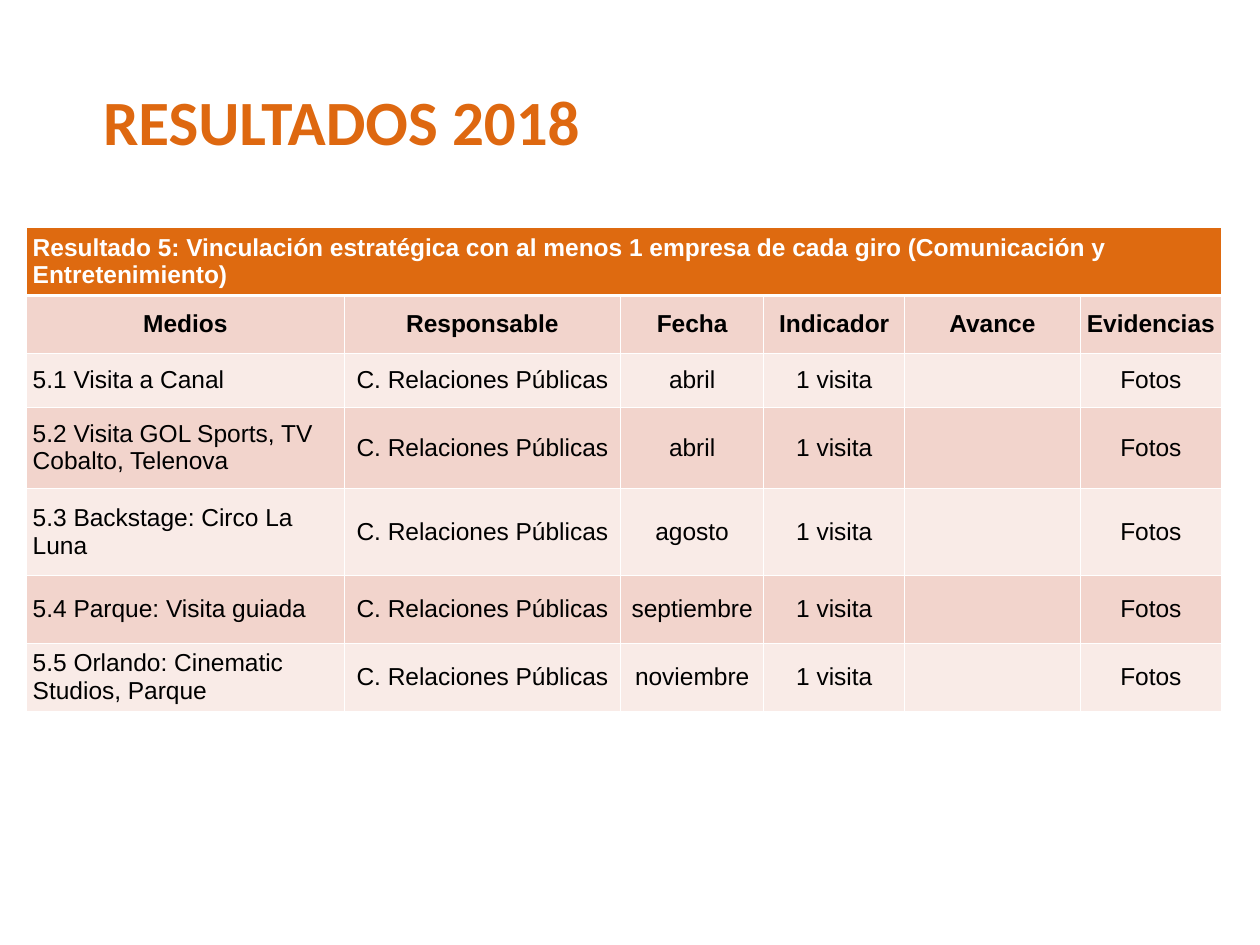
from pptx import Presentation
from pptx.dml.color import RGBColor
from pptx.enum.text import MSO_ANCHOR, PP_ALIGN
from pptx.oxml import parse_xml
from pptx.oxml.ns import nsdecls
from pptx.util import Cm, Pt

TITLE = "RESULTADOS 2018"
BANNER = (
    "Resultado 5: Vinculación estratégica con al menos 1 empresa de cada giro "
    "(Comunicación y Entretenimiento)"
)
HEADINGS = ["Medios", "Responsable", "Fecha", "Indicador", "Avance", "Evidencias"]
VISITS = [
    ("5.1 Visita a Canal", "abril"),
    ("5.2 Visita GOL Sports, TV Cobalto, Telenova", "abril"),
    ("5.3 Backstage: Circo La Luna", "agosto"),
    ("5.4 Parque: Visita guiada", "septiembre"),
    ("5.5 Orlando: Cinematic Studios, Parque", "noviembre"),
]
RESPONSIBLE, INDICATOR, EVIDENCE = "C. Relaciones Públicas", "1 visita", "Fotos"

COLUMN_WIDTHS = [12.8, 11.15, 5.77, 5.69, 7.06, 5.72]
ROW_HEIGHTS = [2.74, 2.34, 2.18, 3.25, 3.53, 2.72, 2.74]
LEFT, TITLE_TOP, TABLE_TOP = 1.07, 3.53, 9.17

THEME = {
    "title": RGBColor.from_string("DE6810"),
    "banner": RGBColor.from_string("DE6A10"),
    "bands": [RGBColor.from_string("F9EBE7"), RGBColor.from_string("F2D4CC")],
    "light": RGBColor.from_string("FFFFFF"),
    "dark": RGBColor.from_string("000000"),
    "title_font": "Calibri",
    "table_font": "Arial",
    "title_size": 72,
    "table_size": 28,
    "border": 1,
    "banner_border": 3,
}


def style_font(font, name, size, color, bold):
    font.name = name
    font.size = Pt(size)
    font.color.rgb = color
    font.bold = bold


def add_border(cell, side, width):
    cell._tc.get_or_add_tcPr().append(parse_xml(
        f'<a:ln{side} {nsdecls("a")} w="{Pt(width)}"><a:solidFill>'
        f'<a:srgbClr val="{THEME["light"]}"/></a:solidFill></a:ln{side}>'
    ))


def add_title(slide):
    box = slide.shapes.add_textbox(Cm(LEFT), Cm(TITLE_TOP), Cm(25.4), Cm(3.81))
    text_frame = box.text_frame
    text_frame.word_wrap = True
    text_frame.text = TITLE
    paragraph = text_frame.paragraphs[0]
    paragraph.alignment = PP_ALIGN.CENTER
    paragraph.line_spacing = 0.9
    style_font(paragraph.runs[0].font, THEME["title_font"], THEME["title_size"],
               THEME["title"], True)


def fill_cell(cell, text, row, column):
    thick_side = {0: "B", 1: "T"}.get(row)
    for side in "LRTB":
        add_border(cell, side, THEME["banner_border" if side == thick_side else "border"])
    cell.fill.solid()
    cell.fill.fore_color.rgb = THEME["banner"] if row == 0 else THEME["bands"][row % 2]
    cell.vertical_anchor = MSO_ANCHOR.MIDDLE
    cell.margin_left = cell.margin_right = Cm(0.25)
    cell.margin_top = cell.margin_bottom = Cm(0.13)
    cell.text_frame.text = text
    paragraph = cell.text_frame.paragraphs[0]
    left_aligned = row == 0 or (row > 1 and column == 0)
    paragraph.alignment = PP_ALIGN.LEFT if left_aligned else PP_ALIGN.CENTER
    for run in paragraph.runs:
        style_font(run.font, THEME["table_font"], THEME["table_size"],
                   THEME["light"] if row == 0 else THEME["dark"], row < 2)


def add_results_table(slide):
    rows = [[BANNER] + [""] * (len(HEADINGS) - 1), HEADINGS]
    rows += [[visit, RESPONSIBLE, month, INDICATOR, "", EVIDENCE] for visit, month in VISITS]
    table = slide.shapes.add_table(
        len(rows), len(HEADINGS), Cm(LEFT), Cm(TABLE_TOP),
        Cm(sum(COLUMN_WIDTHS)), Cm(sum(ROW_HEIGHTS)),
    ).table
    for column, width in zip(table.columns, COLUMN_WIDTHS):
        column.width = Cm(width)
    for row, height in zip(table.rows, ROW_HEIGHTS):
        row.height = Cm(height)
    for row, texts in enumerate(rows):
        for column, text in enumerate(texts):
            fill_cell(table.cell(row, column), text, row, column)
    table.cell(0, 0).merge(table.cell(0, len(HEADINGS) - 1))


def main():
    presentation = Presentation()
    presentation.slide_width, presentation.slide_height = Cm(50.8), Cm(38.1)
    slide = presentation.slides.add_slide(presentation.slide_layouts[6])
    add_title(slide)
    add_results_table(slide)
    presentation.save("out.pptx")


if __name__ == "__main__":
    main()
